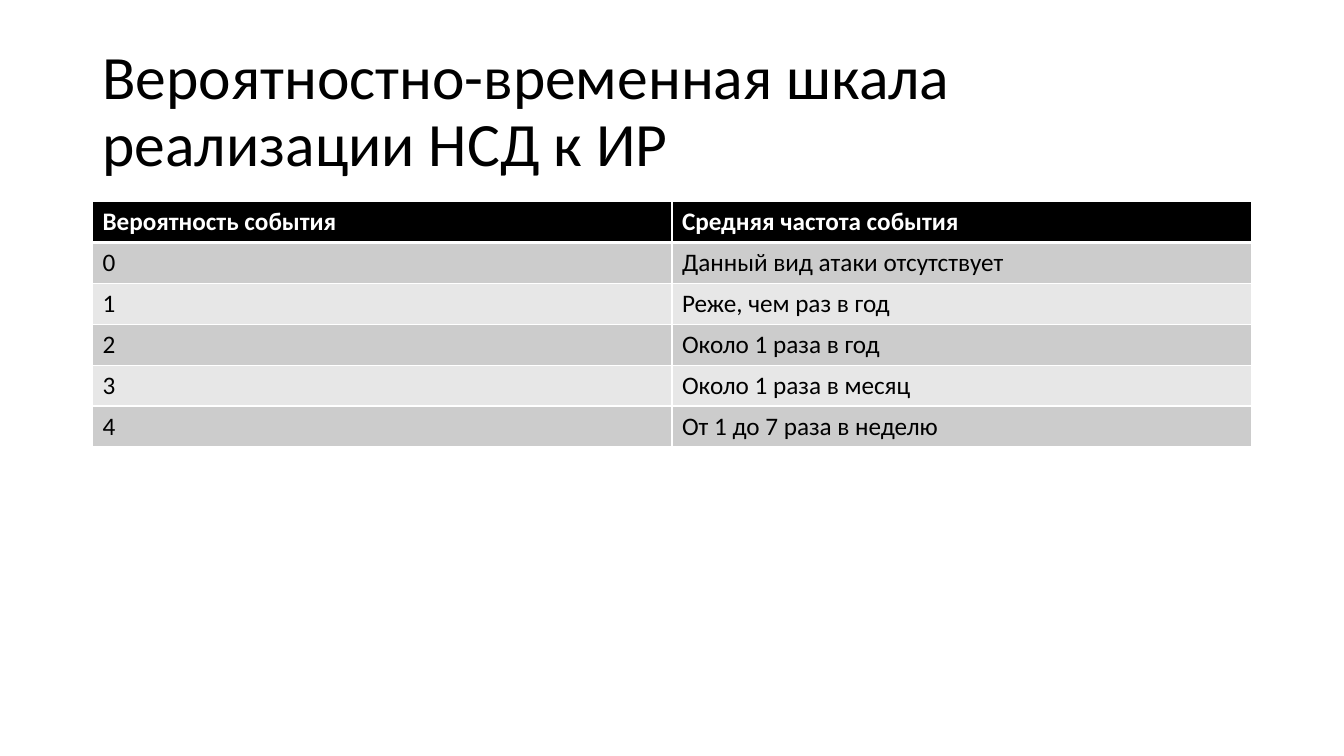
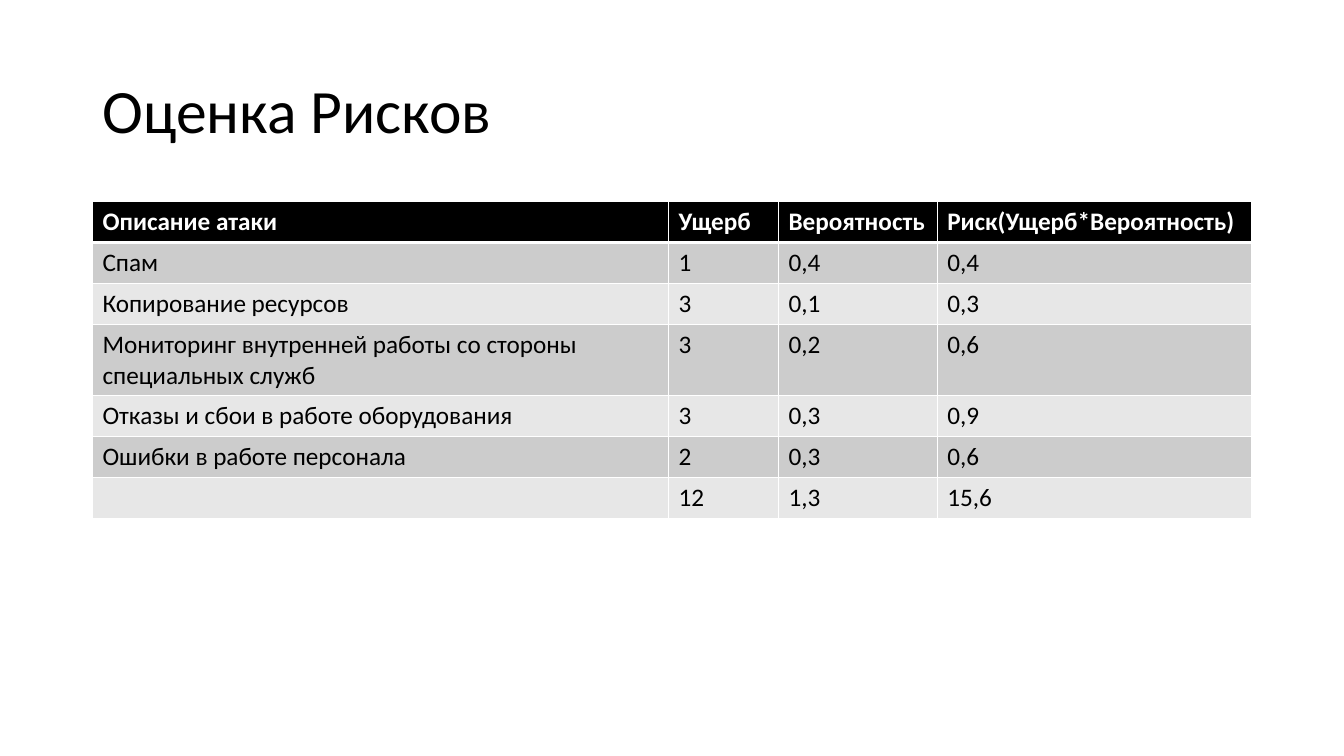
from lxml import etree
from pptx import Presentation
from pptx.dml.color import RGBColor
from pptx.enum.text import MSO_ANCHOR, MSO_AUTO_SIZE, PP_ALIGN
from pptx.oxml.ns import qn
from pptx.util import Cm, Pt

LEFT = PP_ALIGN.LEFT
MIDDLE = MSO_ANCHOR.MIDDLE
NO_AUTOFIT = MSO_AUTO_SIZE.NONE

BLACK = RGBColor(0x00, 0x00, 0x00)
WHITE = RGBColor(0xFF, 0xFF, 0xFF)
DARK_BAND = RGBColor(0xCC, 0xCC, 0xCC)
LIGHT_BAND = RGBColor(0xE7, 0xE7, 0xE7)

FONT = "Calibri"
TITLE_ONLY_LAYOUT = 5
ROW_HEIGHT = 1.03
THIN, THICK = 1, 3

# Boxes in centimetres: left, top, width, height
TITLE_BOX = (2.33, 1.01, 29.21, 3.68)
TABLE_BOX = (2.33, 5.08, 29.21)

FREQUENCY_ROWS = [
    ("Вероятность события", "Средняя частота события"),
    ("0", "Данный вид атаки отсутствует"),
    ("1", "Реже, чем раз в год"),
    ("2", "Около 1 раза в год"),
    ("3", "Около 1 раза в месяц"),
    ("4", "От 1 до 7 раза в неделю"),
]
RISK_ROWS = [
    ("Описание атаки", "Ущерб", "Вероятность", "Риск(Ущерб*Вероятность)"),
    ("Спам", "1", "0,4", "0,4"),
    ("Копирование ресурсов", "3", "0,1", "0,3"),
    ("Мониторинг внутренней работы со стороны специальных служб",
     "3", "0,2", "0,6"),
    ("Отказы и сбои в работе оборудования", "3", "0,3", "0,9"),
    ("Ошибки в работе персонала", "2", "0,3", "0,6"),
    ("", "12", "1,3", "15,6"),
]

# Title, relative column widths, table rows
SLIDES = [
    ("Вероятностно-временная шкала реализации НСД к ИР",
     (1, 1), FREQUENCY_ROWS),
    ("Оценка Рисков", (14.52, 2.77, 4, 7.92), RISK_ROWS),
]


def write_text(text_frame, text, size=18, color=BLACK, bold=False,
               line_spacing=1.0):
    paragraph = text_frame.paragraphs[0]
    paragraph.alignment = LEFT
    paragraph.line_spacing = line_spacing
    if not text:
        return
    run = paragraph.add_run()
    run.text = text
    run.font.name = FONT
    run.font.size = Pt(size)
    run.font.bold = bold
    run.font.color.rgb = color


def set_borders(cell, top=THIN, bottom=THIN):
    properties = cell._tc.get_or_add_tcPr()
    widths = {"a:lnL": THIN, "a:lnR": THIN, "a:lnT": top, "a:lnB": bottom}
    for tag, width in widths.items():
        line = etree.SubElement(properties, qn(tag), w=str(Pt(width)))
        fill = etree.SubElement(line, qn("a:solidFill"))
        etree.SubElement(fill, qn("a:srgbClr"), val=str(WHITE))


def place_title(slide, text, box):
    title = slide.shapes.title
    title.left, title.top, title.width, title.height = map(Cm, box)
    text_frame = title.text_frame
    text_frame.word_wrap = True
    text_frame.auto_size = NO_AUTOFIT
    text_frame.vertical_anchor = MIDDLE
    write_text(text_frame, text, size=44, line_spacing=0.9)


def place_table(slide, rows, column_shares, box):
    left, top, width = box
    table = slide.shapes.add_table(
        len(rows), len(column_shares), Cm(left), Cm(top), Cm(width),
        Cm(ROW_HEIGHT * len(rows))).table
    for column, share in zip(table.columns, column_shares):
        column.width = Cm(width * share / sum(column_shares))

    for row_index, values in enumerate(rows):
        table.rows[row_index].height = Cm(ROW_HEIGHT)
        is_header = row_index == 0
        band = DARK_BAND if row_index % 2 else LIGHT_BAND
        for column_index, value in enumerate(values):
            cell = table.cell(row_index, column_index)
            # The thick rule lies between the header and the first row
            set_borders(cell, top=THICK if row_index == 1 else THIN,
                        bottom=THICK if is_header else THIN)
            cell.fill.solid()
            cell.fill.fore_color.rgb = BLACK if is_header else band
            write_text(cell.text_frame, value, bold=is_header,
                       color=WHITE if is_header else BLACK)


def add_table_slide(presentation, title, column_shares, rows):
    layout = presentation.slide_layouts[TITLE_ONLY_LAYOUT]
    slide = presentation.slides.add_slide(layout)
    place_title(slide, title, TITLE_BOX)
    place_table(slide, rows, column_shares, TABLE_BOX)


def main():
    presentation = Presentation()
    presentation.slide_width = Cm(33.87)
    presentation.slide_height = Cm(19.05)
    for title, column_shares, rows in SLIDES:
        add_table_slide(presentation, title, column_shares, rows)
    presentation.save("out.pptx")


if __name__ == "__main__":
    main()
